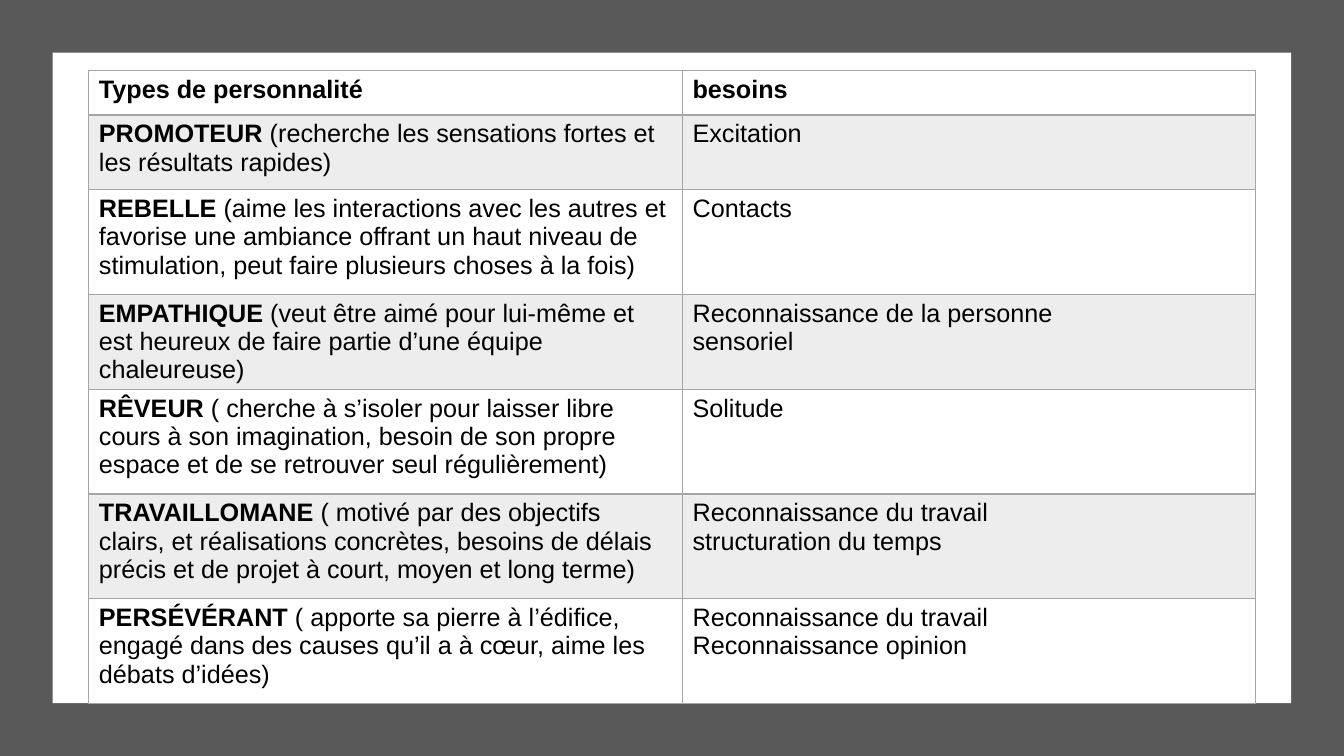
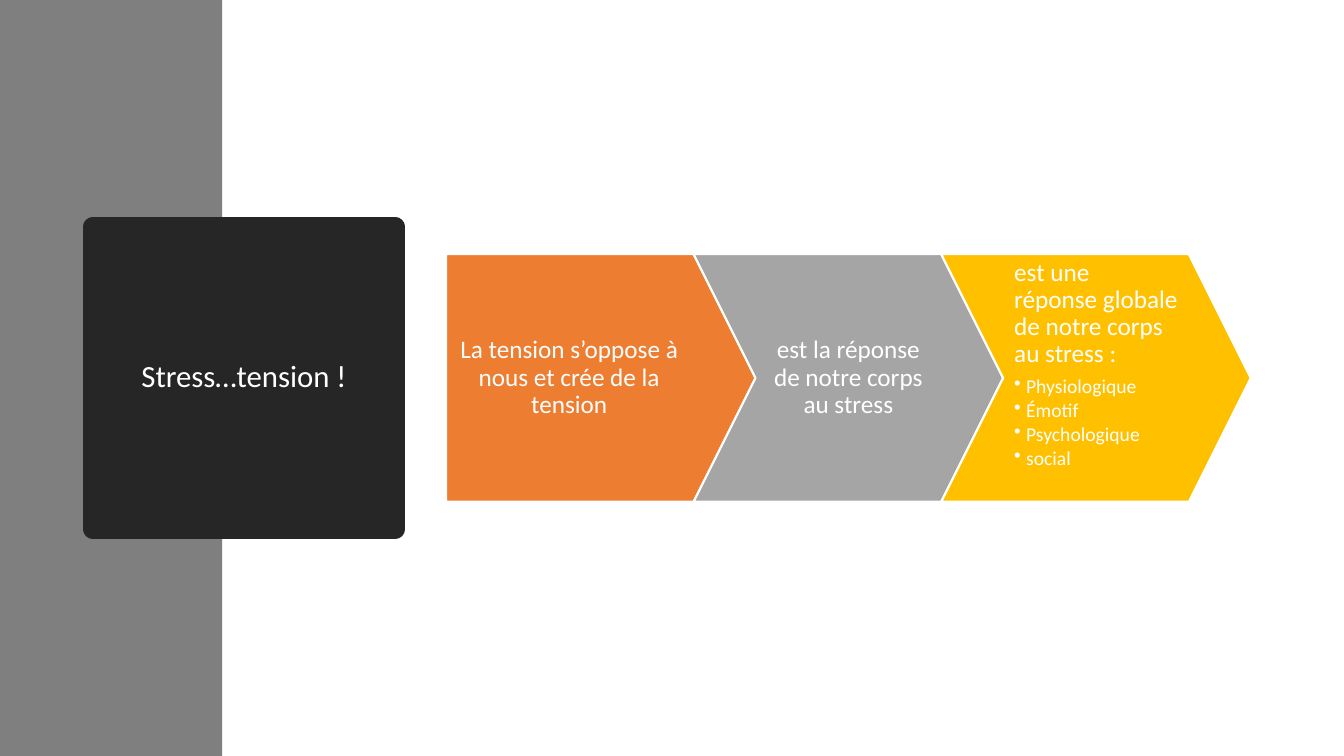
import pptx
import pptx.dml.color
import pptx.enum.shapes
import pptx.enum.text
import pptx.oxml
import pptx.oxml.ns
import pptx.util
from pptx.util import Cm

PRESET = pptx.enum.shapes.MSO_SHAPE
ALIGN = pptx.enum.text.PP_ALIGN
ANCHOR = pptx.enum.text.MSO_ANCHOR

COLOURS = {
    "white": "FFFFFF",
    "black": "000000",
    "backdrop": "595959",
    "side_band": "7F7F7F",
    "title_box": "262626",
    "grid": "A5A5A5",
    "shaded_row": "EDEDED",
    "stressor": "ED7D31",
    "response": "A5A5A5",
    "overall": "FFC000",
}
SLIDE_WIDTH, SLIDE_HEIGHT = Cm(33.87), Cm(19.05)

HEADINGS = ("Types de personnalité", "besoins")
PERSONALITIES = [
    ("PROMOTEUR", " (recherche les sensations fortes et les résultats rapides)",
     "Excitation"),
    ("REBELLE", " (aime les interactions avec les autres et favorise une ambiance "
     "offrant un haut niveau de stimulation, peut faire plusieurs choses à la fois)",
     "Contacts"),
    ("EMPATHIQUE", " (veut être aimé pour lui-même et est heureux de faire partie "
     "d’une équipe chaleureuse)",
     "Reconnaissance de la personne\nsensoriel"),
    ("RÊVEUR", " ( cherche à s’isoler pour laisser libre cours à son imagination, "
     "besoin de son propre espace et de se retrouver seul régulièrement)",
     "Solitude"),
    ("TRAVAILLOMANE", " ( motivé par des objectifs clairs, et réalisations concrètes, "
     "besoins de délais précis et de projet à court, moyen et long terme)",
     "Reconnaissance du travail\nstructuration du temps"),
    ("PERSÉVÉRANT", " ( apporte sa pierre à l’édifice, engagé dans des causes qu’il "
     "a à cœur, aime les débats d’idées)",
     "Reconnaissance du travail\nReconnaissance opinion"),
]
COLUMN_WIDTHS = (14.96, 14.43)
ROW_HEIGHTS = (1.12, 1.88, 2.64, 1.88, 2.64, 2.64, 2.64)

STEPS = [
    ("stressor", "La tension s’oppose à nous et crée de la tension", []),
    ("response", "est la réponse de notre corps au stress", []),
    ("overall", "est une réponse globale de notre corps au stress :",
     ["Physiologique", "Émotif", "Psychologique", "social"]),
]


def colour(name):
    return pptx.dml.color.RGBColor.from_string(COLOURS[name])


def paint(part, fill, line=None, line_width=0):
    part.fill.solid()
    part.fill.fore_color.rgb = colour(fill)
    if line:
        part.line.color.rgb = colour(line)
        part.line.width = pptx.util.Pt(line_width)
    else:
        part.line.fill.background()


def add_preset(slide, preset, box, fill, line=None, line_width=0):
    part = slide.shapes.add_shape(preset, *box)
    part.shadow.inherit = False
    paint(part, fill, line, line_width)
    return part


def format_runs(paragraph, font, size, ink, bold=False):
    for run in paragraph.runs:
        run.font.name = font
        run.font.size = pptx.util.Pt(size)
        run.font.color.rgb = colour(ink)
        run.font.bold = bold


def draw_borders(cell, bottom_width):
    widths = {"lnL": 1, "lnR": 1, "lnT": 1, "lnB": bottom_width}
    properties = cell._tc.get_or_add_tcPr()
    for position, (side, width) in enumerate(widths.items()):
        border = pptx.oxml.parse_xml(
            f'<a:{side} {pptx.oxml.ns.nsdecls("a")} w="{pptx.util.Pt(width)}">'
            f'<a:solidFill><a:srgbClr val="{COLOURS["grid"]}"/></a:solidFill></a:{side}>')
        properties.insert(position, border)


def fill_cell(cell, text, fill, bold=False, detail="", bottom_width=1):
    cell.fill.solid()
    cell.fill.fore_color.rgb = colour(fill)
    draw_borders(cell, bottom_width)
    cell.text_frame.text = text
    for paragraph in cell.text_frame.paragraphs:
        format_runs(paragraph, "Arial", 18, "black", bold)
    if detail:
        opening = cell.text_frame.paragraphs[0]
        opening.add_run().text = detail
        format_runs(opening, "Arial", 18, "black")
        opening.runs[0].font.bold = True


def add_personality_table(slide, left, top):
    needs = slide.shapes.add_table(
        len(ROW_HEIGHTS), len(COLUMN_WIDTHS), left, top,
        Cm(sum(COLUMN_WIDTHS)), Cm(sum(ROW_HEIGHTS))).table
    needs.first_row = needs.horz_banding = False
    for column, width in zip(needs.columns, COLUMN_WIDTHS):
        column.width = Cm(width)
    for row, height in zip(needs.rows, ROW_HEIGHTS):
        row.height = Cm(height)
    for column, heading in enumerate(HEADINGS):
        fill_cell(needs.cell(0, column), heading, "white", bold=True, bottom_width=2)
    for row, (name, detail, need) in enumerate(PERSONALITIES, start=1):
        fill = "shaded_row" if row % 2 else "white"
        fill_cell(needs.cell(row, 0), name, fill, bold=True, detail=detail)
        fill_cell(needs.cell(row, 1), need, fill)


def add_title(slide, text, left, top, side):
    title = slide.shapes.title
    title.left, title.top, title.width, title.height = left, top, side, side
    paint(title, "title_box", "title_box", 13.75)
    frame = title.text_frame
    frame.text = text
    frame.word_wrap = True
    frame.auto_size = pptx.enum.text.MSO_AUTO_SIZE.NONE
    frame.vertical_anchor = ANCHOR.MIDDLE
    heading = frame.paragraphs[0]
    heading.alignment = ALIGN.CENTER
    heading.line_spacing = 0.9
    format_runs(heading, "Calibri", 22, "white")


def add_bullet(paragraph):
    properties = paragraph._p.get_or_add_pPr()
    properties.set("marL", str(Cm(0.3)))
    properties.set("indent", str(-Cm(0.3)))
    properties.append(pptx.oxml.parse_xml(
        f'<a:buChar {pptx.oxml.ns.nsdecls("a")} char="•"/>'))


def add_step(slide, preset, box, fill, statement, effects):
    step = add_preset(slide, preset, box, fill, "white", 1.5)
    step.adjustments[0] = 0.25
    frame = step.text_frame
    frame.word_wrap = True
    frame.vertical_anchor = ANCHOR.TOP if effects else ANCHOR.MIDDLE
    frame.margin_left = Cm(0.28)
    frame.margin_right = Cm(1.09 if preset == PRESET.PENTAGON else 0.28)
    frame.margin_top = frame.margin_bottom = Cm(0.13)
    frame.text = "\n".join([statement, *effects])
    for order, paragraph in enumerate(frame.paragraphs):
        if order:
            add_bullet(paragraph)
        paragraph.alignment = ALIGN.LEFT if effects else ALIGN.CENTER
        paragraph.line_spacing = 0.9
        if order < len(effects):
            paragraph.space_after = pptx.util.Pt(2 if order else 6)
        format_runs(paragraph, "Calibri", 14 if order else 18, "white")


def add_step_chain(slide, left, top, pitch, width, height):
    for order, step in enumerate(STEPS):
        preset = PRESET.CHEVRON if order else PRESET.PENTAGON
        add_step(slide, preset, (left + order * pitch, top, width, height), *step)


def build_personality_slide(deck):
    slide = deck.slides.add_slide(deck.slide_layouts[6])
    add_preset(slide, PRESET.RECTANGLE, (0, 0, SLIDE_WIDTH, SLIDE_HEIGHT), "backdrop")
    margin = Cm(1.33)
    add_preset(slide, PRESET.RECTANGLE,
               (margin, margin, SLIDE_WIDTH - 2 * margin, SLIDE_HEIGHT - 2 * margin),
               "white")
    add_personality_table(slide, Cm(2.24), Cm(1.78))


def build_stress_slide(deck):
    slide = deck.slides.add_slide(deck.slide_layouts[5])
    band = add_preset(slide, PRESET.RECTANGLE, (0, 0, Cm(5.6), SLIDE_HEIGHT), "side_band")
    slide.shapes.title._element.addprevious(band._element)
    side = Cm(7.62)
    add_title(slide, "Stress…tension !", Cm(2.34), (SLIDE_HEIGHT - side) // 2, side)
    height = Cm(6.24)
    add_step_chain(slide, Cm(11.24), (SLIDE_HEIGHT - height) // 2,
                   Cm(6.24), Cm(7.8), height)


def main():
    deck = pptx.Presentation()
    deck.slide_width, deck.slide_height = SLIDE_WIDTH, SLIDE_HEIGHT
    build_personality_slide(deck)
    build_stress_slide(deck)
    deck.save("out.pptx")


if __name__ == "__main__":
    main()
